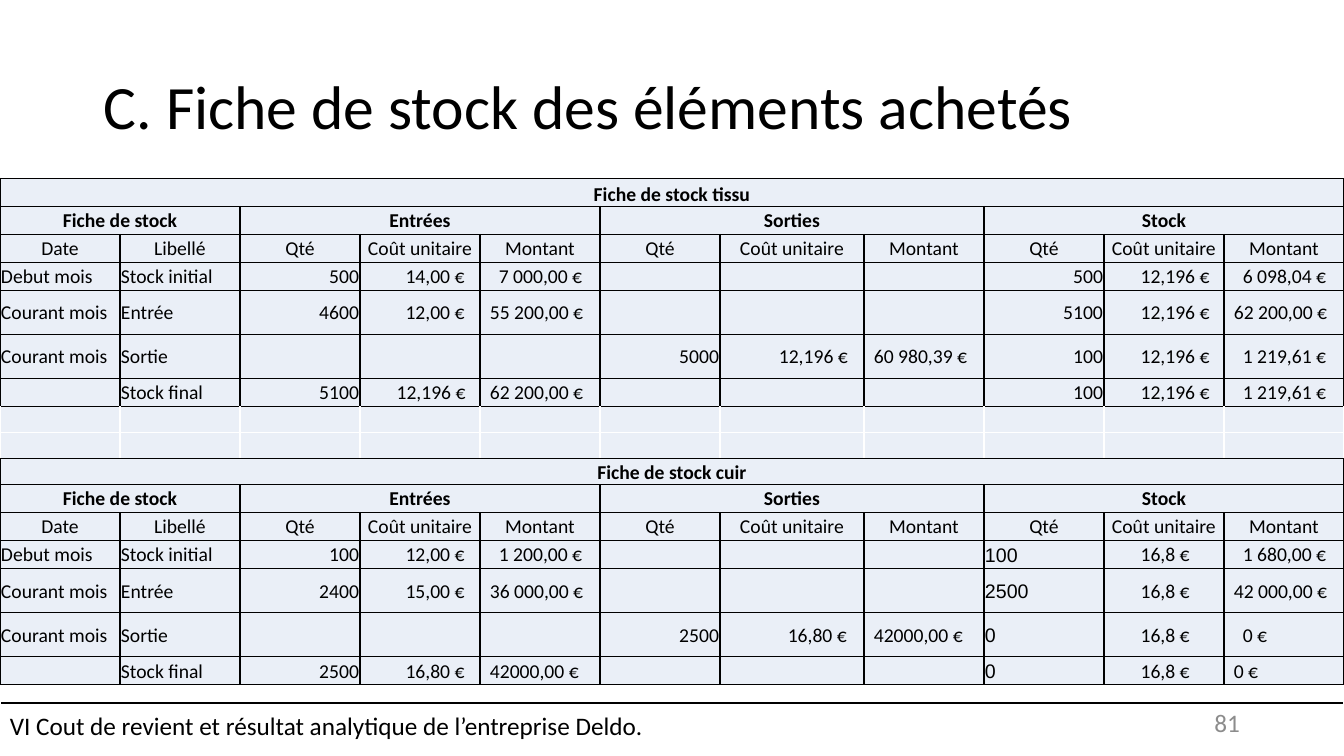
from lxml.etree import SubElement
from pptx import Presentation
from pptx.dml.color import RGBColor
from pptx.enum.shapes import MSO_CONNECTOR, MSO_SHAPE
from pptx.enum.text import MSO_ANCHOR, PP_ALIGN
from pptx.oxml.ns import qn
from pptx.util import Inches, Pt

WIDTH, HEIGHT = Inches(13.33), Inches(7.5)
BLACK, WHITE, GREY, PALE = "000000", "FFFFFF", "8C8C8C", "EAEFF7"
SPACE = Inches(0.04) + Pt(0.3)
TABLE_TOP, TABLE_HEIGHT = Inches(1.77), Inches(5.03)
COLUMNS = [1] * 6 + [1.2] + [1] * 4
LEDGER_ROWS = [28, 28, 28, 28, 44, 44, 28]
SPACER_ROWS = [26, 26]
ROWS = LEDGER_ROWS + SPACER_ROWS + [26] + LEDGER_ROWS[1:]
GROUPS = [("Fiche de stock", 0, 1), ("Entrées", 2, 4), ("Sorties", 5, 7), ("Stock", 8, 10)]
HEADINGS = ["Date", "Libellé"] + ["Qté", "Coût unitaire", "Montant"] * 3
STOCK_QTY = 8
NONE = ["", "", ""]

FABRIC = [
    ["Debut mois", "Stock initial", "500", ("14,00 €", 10), ("7 000,00 €", 4),
     *NONE, "500", ("12,196 €", 8), ("6 098,04 €", 4)],
    ["Courant mois", "Entrée", "4600", ("12,00 €", 10), ("55 200,00 €", 2),
     *NONE, "5100", ("12,196 €", 8), ("62 200,00 €", 2)],
    ["Courant mois", "Sortie", *NONE, "5000", ("12,196 €", 13), ("60 980,39 €", 2),
     "100", ("12,196 €", 8), ("1 219,61 €", 4)],
    ["", "Stock final", "5100", ("12,196 €", 8), ("62 200,00 €", 2),
     *NONE, "100", ("12,196 €", 8), ("1 219,61 €", 4)],
]
LEATHER = [
    ["Debut mois", "Stock initial", "100", ("12,00 €", 10), ("1 200,00 €", 4),
     *NONE, "100", ("16,8 €", 8), ("1 680,00 €", 4)],
    ["Courant mois", "Entrée", "2400", ("15,00 €", 10), ("36 000,00 €", 2),
     *NONE, "2500", ("16,8 €", 8), ("42 000,00 €", 2)],
    ["Courant mois", "Sortie", *NONE, "2500", ("16,80 €", 15), ("42000,00 €", 2),
     "0", ("16,8 €", 8), ("0 €", 4)],
    ["", "Stock final", "2500", ("16,80 €", 10), ("42000,00 €", 2),
     *NONE, "0", ("16,8 €", 8), ("0 €", 2)],
]


def color(value):
    """Turn a hex string into a colour."""
    return RGBColor.from_string(value)


def write(frame, text, size, ink=BLACK, align=PP_ALIGN.LEFT, font="Calibri", bold=False):
    """Write one run into the first paragraph of a frame."""
    paragraph = frame.paragraphs[0]
    paragraph.alignment = align
    run = paragraph.add_run()
    run.text = text
    run.font.size, run.font.name, run.font.bold = Pt(size), font, bold
    run.font.color.rgb = color(ink)
    return paragraph


def add_label(slide, left, top, width, height, text, size, **style):
    """Add a wrapped, vertically centred text box placed by shares of the slide."""
    label = slide.shapes.add_textbox(
        int(left * WIDTH), int(top * HEIGHT), int(width * WIDTH), int(height * HEIGHT))
    label.text_frame.word_wrap = True
    label.text_frame.vertical_anchor = MSO_ANCHOR.MIDDLE
    return write(label.text_frame, text, size, **style)


def add_rule(slide, height_share):
    """Draw the full-width rule above the footer."""
    y = int(height_share * HEIGHT)
    rule = slide.shapes.add_connector(MSO_CONNECTOR.STRAIGHT, 0, y, WIDTH, y)
    rule.line.color.rgb = color(BLACK)
    rule.line.width = Pt(1.5)
    SubElement(rule._element.spPr, qn("a:effectLst"))


def add_footer(slide, text):
    """Add the outlined footer band across the bottom."""
    footer = slide.shapes.add_shape(
        MSO_SHAPE.RECTANGLE, 0, int(0.92 * HEIGHT), WIDTH, int(0.08 * HEIGHT))
    footer.shadow.inherit = False
    footer.fill.background()
    footer.line.color.rgb = color(WHITE)
    footer.line.width = Pt(1)
    footer.text_frame.word_wrap = True
    footer.text_frame.vertical_anchor = MSO_ANCHOR.MIDDLE
    write(footer.text_frame, text, 18)


def style_cell(cell, sides, top, bottom):
    """Give a cell its borders, fill, margins and empty-text size."""
    properties = cell._tc.get_or_add_tcPr()
    for edge, ink in (("lnL", sides), ("lnR", sides), ("lnT", top), ("lnB", bottom)):
        border = SubElement(properties, qn("a:" + edge), w=str(Pt(1)))
        fill = SubElement(border, qn("a:solidFill"))
        SubElement(fill, qn("a:srgbClr"), val=ink)
    cell.fill.solid()
    cell.fill.fore_color.rgb = color(PALE)
    cell.margin_left = cell.margin_top = cell.margin_right = Inches(0.01)
    cell.margin_bottom = 0
    cell.vertical_anchor = MSO_ANCHOR.MIDDLE
    SubElement(cell.text_frame.paragraphs[0]._p, qn("a:endParaRPr"), sz="1400")


def fill_cell(cell, content, align, font="Calibri", bold=False):
    """Write a label, a quantity or an indented amount."""
    if not content:
        return
    if isinstance(content, tuple):
        content, indent = content
        cell.margin_left = Inches(0.01) + indent * SPACE
        align = PP_ALIGN.JUSTIFY
    write(cell.text_frame, content, 14, align=align, font=font, bold=bold)


def fill_ledger(table, first_row, title, entries, stock_align, stock_font):
    """Fill one stock ledger: title, groups, headings and entries."""
    heading = table.cell(first_row, 0)
    heading.merge(table.cell(first_row, len(COLUMNS) - 1))
    heading.vertical_anchor = MSO_ANCHOR.BOTTOM
    fill_cell(heading, title, PP_ALIGN.CENTER, bold=True)
    for group, start, end in GROUPS:
        cell = table.cell(first_row + 1, start)
        cell.merge(table.cell(first_row + 1, end))
        fill_cell(cell, group, PP_ALIGN.CENTER, bold=True)
    for column, text in enumerate(HEADINGS):
        fill_cell(table.cell(first_row + 2, column), text, PP_ALIGN.CENTER)
    for row, entry in enumerate(entries, first_row + 3):
        for column, content in enumerate(entry):
            cell = table.cell(row, column)
            if column == STOCK_QTY:
                fill_cell(cell, content, stock_align, stock_font)
            else:
                fill_cell(cell, content, PP_ALIGN.JUSTIFY if column < 2 else PP_ALIGN.RIGHT)


def add_stock_table(slide):
    """Build the grid that holds both ledgers and the spacer rows."""
    table = slide.shapes.add_table(
        len(ROWS), len(COLUMNS), 0, TABLE_TOP, WIDTH, TABLE_HEIGHT).table
    table.first_row = table.horz_banding = False
    for column, share in zip(table.columns, COLUMNS):
        column.width = int(WIDTH * share / sum(COLUMNS))
    for row, share in zip(table.rows, ROWS):
        row.height = int(TABLE_HEIGHT * share / sum(ROWS))
    spacer_start = len(LEDGER_ROWS)
    spacer_end = spacer_start + len(SPACER_ROWS)
    for index, row in enumerate(table.rows):
        spacer = spacer_start <= index < spacer_end
        sides = WHITE if spacer else BLACK
        top = WHITE if spacer and index > spacer_start else BLACK
        bottom = WHITE if spacer and index < spacer_end - 1 else BLACK
        for cell in row.cells:
            style_cell(cell, sides, top, bottom)
    fill_ledger(table, 0, "Fiche de stock tissu", FABRIC, PP_ALIGN.RIGHT, "Calibri")
    fill_ledger(table, spacer_end, "Fiche de stock cuir", LEATHER, PP_ALIGN.JUSTIFY, "Arial")


def main():
    """Build and save the slide."""
    deck = Presentation()
    deck.slide_width, deck.slide_height = WIDTH, HEIGHT
    slide = deck.slides.add_slide(deck.slide_layouts[6])
    add_rule(slide, 0.93)
    title = add_label(slide, 0.07, 0.05, 0.86, 0.19, "C. Fiche de stock des éléments achetés", 44)
    title.line_spacing = 0.9
    add_stock_table(slide)
    add_footer(slide, "VI Cout de revient et résultat analytique de l’entreprise Deldo.")
    add_label(slide, 0.71, 0.93, 0.22, 0.05, "81", 18, ink=GREY, align=PP_ALIGN.RIGHT)
    deck.save("out.pptx")


if __name__ == "__main__":
    main()
